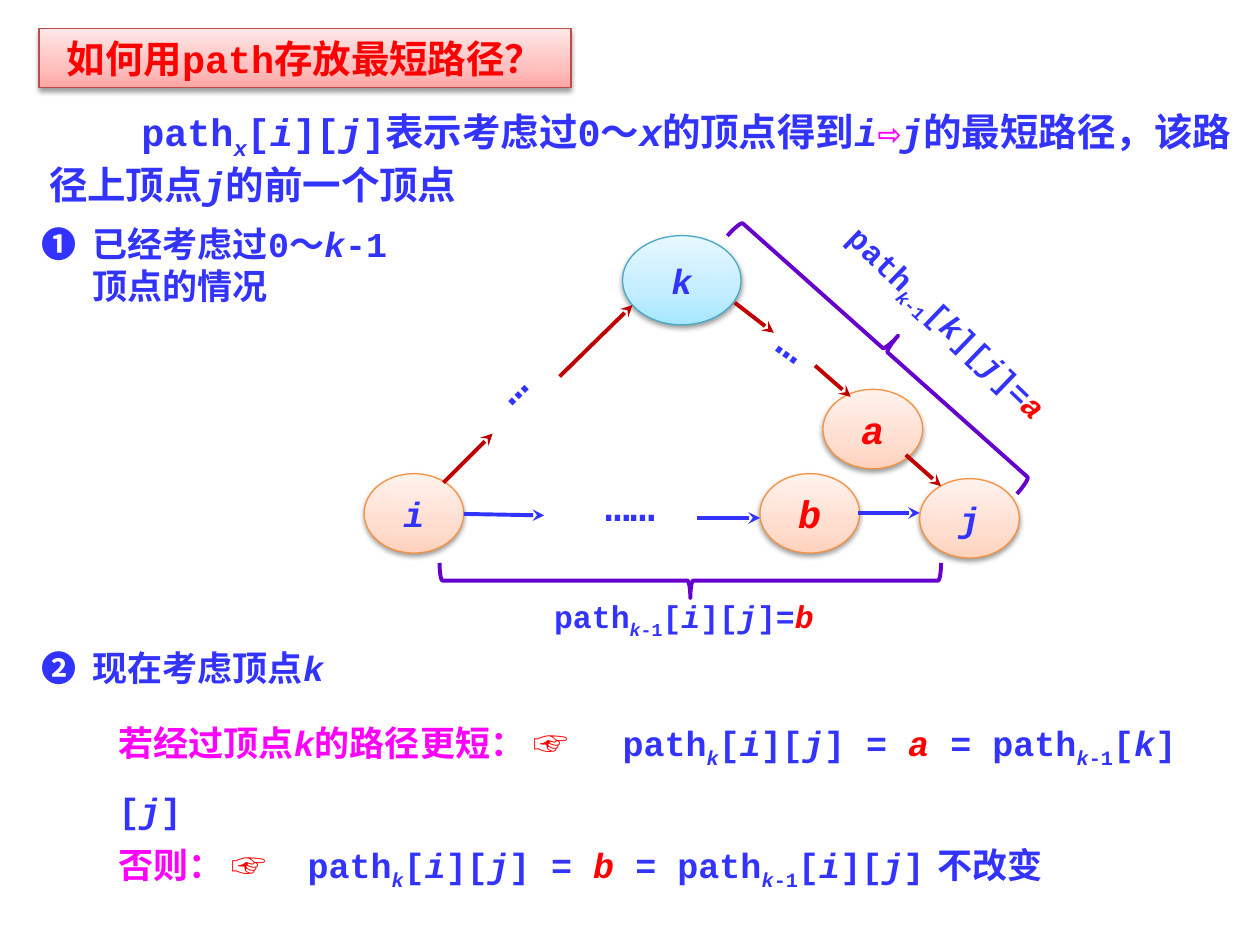
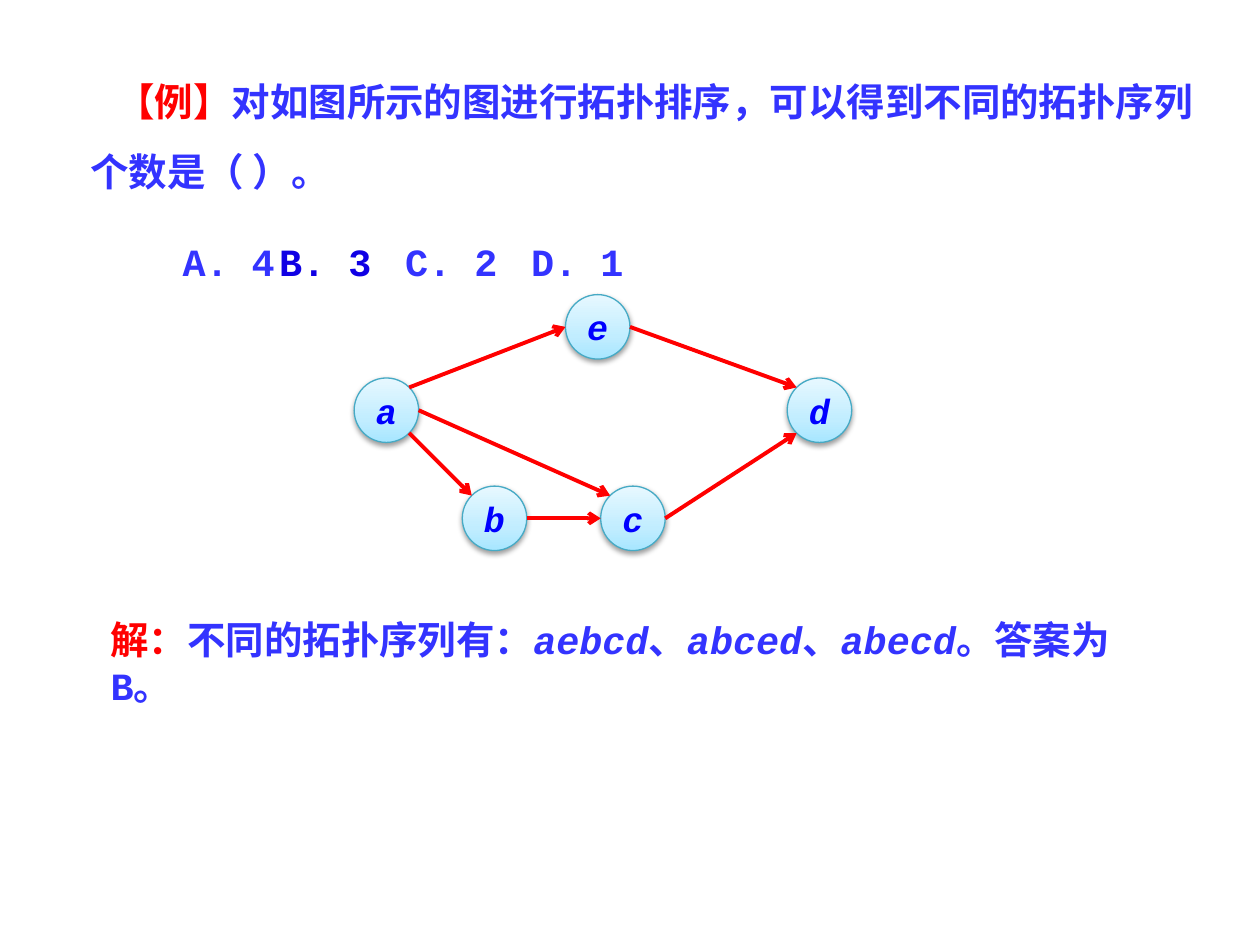
"""Build two slides on shortest paths and topological orders."""
import math
from copy import deepcopy
from itertools import groupby

from lxml import etree
from pptx import Presentation
from pptx import util as u
from pptx.dml.color import RGBColor
from pptx.enum import shapes, text
from pptx.oxml.ns import qn

COLORS = {
    "text": "3333FF", "red": "FF0000", "magenta": "FF00FF", "answer": "1000E4",
    "node text": "0000FF", "path": "C00000", "brace": "6600CC", "black": "000000",
}
GRADIENTS = {
    "blue": ("A7E6FF", "C1EDFF", "E7F8FF", "46AAC5"),
    "orange": ("FFD2BD", "FFDED0", "FFF2ED", "F69240"),
    "pink": ("FFA6A5", "FFC0BF", "FFE7E7", "BF4C48"),
}
MARKS = {"*": "italic", "_": "subscript", "^": "red", "#": "magenta", "@": "answer"}


def rgb(name):
    return RGBColor.from_string(COLORS.get(name, name))


def styled_pieces(markup):
    active, styled = set(), []
    for character in markup:
        if character in MARKS:
            active ^= {MARKS[character]}
        else:
            styled.append((frozenset(active), character))
    for style, group in groupby(styled, key=lambda pair: pair[0]):
        yield style, "".join(character for _, character in group)


class Deck:
    """Hold the shared style and the current slide."""

    font = "Courier New"

    def __init__(self):
        self.presentation = Presentation()
        self.presentation.slide_width = u.Cm(25.4)
        self.presentation.slide_height = u.Cm(19.05)
        self.slide = None

    def new_slide(self):
        self.slide = self.presentation.slides.add_slide(self.presentation.slide_layouts[6])

    def fill_paragraph(self, paragraph, markup, size, color="text", center=False,
                       margin=0, indent=0, tabs=(), spacing=None, before=None):
        properties = paragraph._p.get_or_add_pPr()
        properties.set("marL", str(u.Cm(margin)))
        properties.set("indent", str(u.Cm(indent)))
        if tabs:
            tab_list = etree.SubElement(properties, qn("a:tabLst"))
            for position in tabs:
                etree.SubElement(tab_list, qn("a:tab"), pos=str(u.Cm(position)), algn="l")
        paragraph.alignment = text.PP_ALIGN.CENTER if center else text.PP_ALIGN.LEFT
        if spacing:
            paragraph.line_spacing = spacing
        if before:
            paragraph.space_before = before
        for style, piece in styled_pieces(markup):
            run = paragraph.add_run()
            run.text = piece
            run.font.name, run.font.size, run.font.bold = self.font, u.Pt(size), True
            run.font.italic = "italic" in style
            accents = style & {"red", "magenta", "answer"}
            run.font.color.rgb = rgb(next(iter(accents), color))
            if "subscript" in style:
                run._r.get_or_add_rPr().set("baseline", "-25000")

    def text_box(self, box, paragraphs, size, rotation=0, inset=True, **style):
        shape = self.slide.shapes.add_textbox(*map(u.Cm, box))
        shape.rotation = rotation
        frame = shape.text_frame
        frame.word_wrap = True
        if not inset:
            frame.margin_left = frame.margin_right = frame.margin_top = frame.margin_bottom = 0
        for number, item in enumerate(paragraphs):
            markup, own_style = item if isinstance(item, tuple) else (item, {})
            paragraph = frame.add_paragraph() if number else frame.paragraphs[0]
            self.fill_paragraph(paragraph, markup, size, **{**style, **own_style})

    def panel(self, kind, box, markup, gradient, size, color, wrap=False):
        shape = self.slide.shapes.add_shape(kind, *map(u.Cm, box))
        *stop_colors, line_color = GRADIENTS[gradient]
        shape.fill.gradient()
        shape.fill.gradient_angle = 90
        stop_list = shape._element.spPr.find(".//" + qn("a:gsLst"))
        stop_list.insert(1, deepcopy(stop_list[0]))
        for stop, position, stop_color in zip(shape.fill.gradient_stops, (0, 0.35, 1), stop_colors):
            stop.position, stop.color.rgb = position, rgb(stop_color)
        shape.line.color.rgb, shape.line.width = rgb(line_color), u.Pt(0.75)
        self.cast_shadow(shape)
        frame = shape.text_frame
        frame.word_wrap = wrap
        frame.vertical_anchor = text.MSO_ANCHOR.MIDDLE
        self.fill_paragraph(frame.paragraphs[0], markup, size, color, center=True)

    def cast_shadow(self, shape):
        shape.shadow.inherit = False
        effects = shape._element.spPr.find(qn("a:effectLst"))
        shadow = etree.SubElement(effects, qn("a:outerShdw"), blurRad=str(u.Pt(3.1)),
                                  dist=str(u.Pt(1.6)), dir="5400000", rotWithShape="0")
        color = etree.SubElement(shadow, qn("a:srgbClr"), val=COLORS["black"])
        etree.SubElement(color, qn("a:alpha"), val="38000")

    def node(self, box, label, gradient, size, color):
        self.panel(shapes.MSO_SHAPE.OVAL, box, f"*{label}*", gradient, size, color)

    def arrow(self, start, end, color, head):
        connector = self.slide.shapes.add_connector(
            shapes.MSO_CONNECTOR.STRAIGHT, *map(u.Cm, (*start, *end)))
        connector.line.color.rgb, connector.line.width = rgb(color), u.Pt(2.25)
        properties = connector._element.spPr
        etree.SubElement(properties.find(qn("a:ln")), qn("a:tailEnd"), type=head)
        etree.SubElement(properties, qn("a:effectLst"))

    def brace(self, box, rotation):
        shape = self.slide.shapes.add_shape(shapes.MSO_SHAPE.RIGHT_BRACE, *map(u.Cm, box))
        shape.rotation = rotation
        shape.shadow.inherit = False
        shape.fill.background()
        shape.line.color.rgb, shape.line.width = rgb("brace"), u.Pt(2.25)


def shortest_path_slide(deck):
    deck.new_slide()
    deck.panel(shapes.MSO_SHAPE.RECTANGLE, (0.79, 0.58, 10.72, 1.19),
               "如何用path存放最短路径？", "pink", 22, "red", wrap=True)
    deck.text_box((0.99, 2.18, 23.83, 1.88),
                  ["path_*x*_[*i*][*j*]表示考虑过0～*x*的顶点得到*i*#⇨#*j*"
                   "的最短路径，该路径上顶点*j*的前一个顶点"],
                  22, inset=False, indent=1.86)
    for top, height, step in ((4.37, 1.96, "❶\t已经考虑过0～*k*-1顶点的情况"),
                              (12.9, 1.12, "❷\t现在考虑顶点*k*")):
        deck.text_box((0.58, top, 8.13, height), [step], 20, margin=1.04, indent=-1.04)

    deck.node((12.55, 4.75, 2.39, 1.8), "k", "blue", 20, "text")
    for label, left, top, size, color in (("i", 7.34, 9.55, 20, "text"),
                                          ("j", 18.54, 9.65, 20, "text"),
                                          ("a", 16.59, 7.85, 22, "red"),
                                          ("b", 15.32, 9.55, 22, "red")):
        deck.node((left, top, 2.01, 1.6), label, "orange", size, color)
    arrows = {
        "path": [((8.94, 9.73), (9.93, 8.74)), ((11.28, 7.59), (12.75, 6.15)),
                 ((14.81, 6.1), (15.6, 6.71)), ((16.43, 7.37), (17.15, 8)),
                 ((18.26, 9.17), (18.97, 9.8))],
        "text": [((9.35, 10.36), (10.97, 10.39)), ((14.05, 10.44), (15.32, 10.44)),
                 ((17.3, 10.34), (18.54, 10.34))],
    }
    for color, ends in arrows.items():
        for start, end in ends:
            deck.arrow(start, end, color, "stealth")
    for left, top, width, dots, rotation in ((9.75, 7.54, 1.8, "…", 135),
                                             (15.11, 6.3, 1.8, "…", 35.8),
                                             (10.9, 9.55, 3.6, "……", 0)):
        deck.text_box((left, top, width, 1.27), [dots], 24, rotation, center=True)

    deck.brace((13.56, 6.65, 0.71, 10.11), 90)
    deck.text_box((10.92, 11.91, 6.45, 1.02), ["path_*k*-1_[*i*][*j*]=^*b*^"], 18)
    deck.brace((17.45, 3.15, 0.79, 7.82), 311.7)
    deck.text_box((16.03, 6.5, 7.21, 1.02), ["path_*k*-1_[*k*][*j*]=^*a*^"], 18, 44)

    result = "^☞^\tpath_*k*_[*i*][*j*] = "
    deck.text_box((2.39, 14.27, 22.2, 2.49), [
        (f"#若经过顶点*k*的路径更短： #{result}^*a* ^= path_*k*-1_[*k*][*j*]", {"tabs": (9.9,)}),
        (f"#否则： #{result}^*b* ^= path_*k*-1_[*i*][*j*]\t不改变", {"tabs": (3.46, 16.95)}),
    ], 20, inset=False, spacing=u.Pt(35))


def topological_order_slide(deck):
    deck.new_slide()
    deck.text_box((1.57, 0.99, 23.22, 4.95), [
        ("^【例】^对如图所示的图进行拓扑排序，可以得到不同的拓扑序列个数是（ ）。", {"indent": 0.53}),
        ("A. 4\t@B. 3@\tC. 2\tD. 1",
         {"indent": 1.86, "tabs": (7.62, 12.7, 17.78), "before": u.Pt(12)}),
    ], 22, spacing=1.5)

    radius = 0.65
    centers = {"e": (12.05, 6.59), "a": (7.79, 8.27), "b": (9.97, 10.45),
               "c": (12.76, 10.45), "d": (16.52, 8.27)}

    def rim(label, degrees):
        x, y = centers[label]
        angle = math.radians(degrees)
        return x + radius * math.cos(angle), y + radius * math.sin(angle)

    for label, (x, y) in centers.items():
        deck.node((x - radius, y - radius, 2 * radius, 2 * radius), label, "blue", 20, "node text")
    for source, leaving, target, entering in (("a", 45, "b", 225), ("a", -45, "e", 180),
                                              ("e", 0, "d", 225), ("b", 0, "c", 180),
                                              ("c", 0, "d", 135), ("a", 0, "c", 225)):
        deck.arrow(rim(source, leaving), rim(target, entering), "red", "arrow")
    deck.text_box((1.98, 12.29, 21.64, 1.19),
                  ["^解：^不同的拓扑序列有：*aebcd*、*abced*、*abecd*。答案为B。"], 22)


def main():
    deck = Deck()
    shortest_path_slide(deck)
    topological_order_slide(deck)
    deck.presentation.save("out.pptx")


if __name__ == "__main__":
    main()
